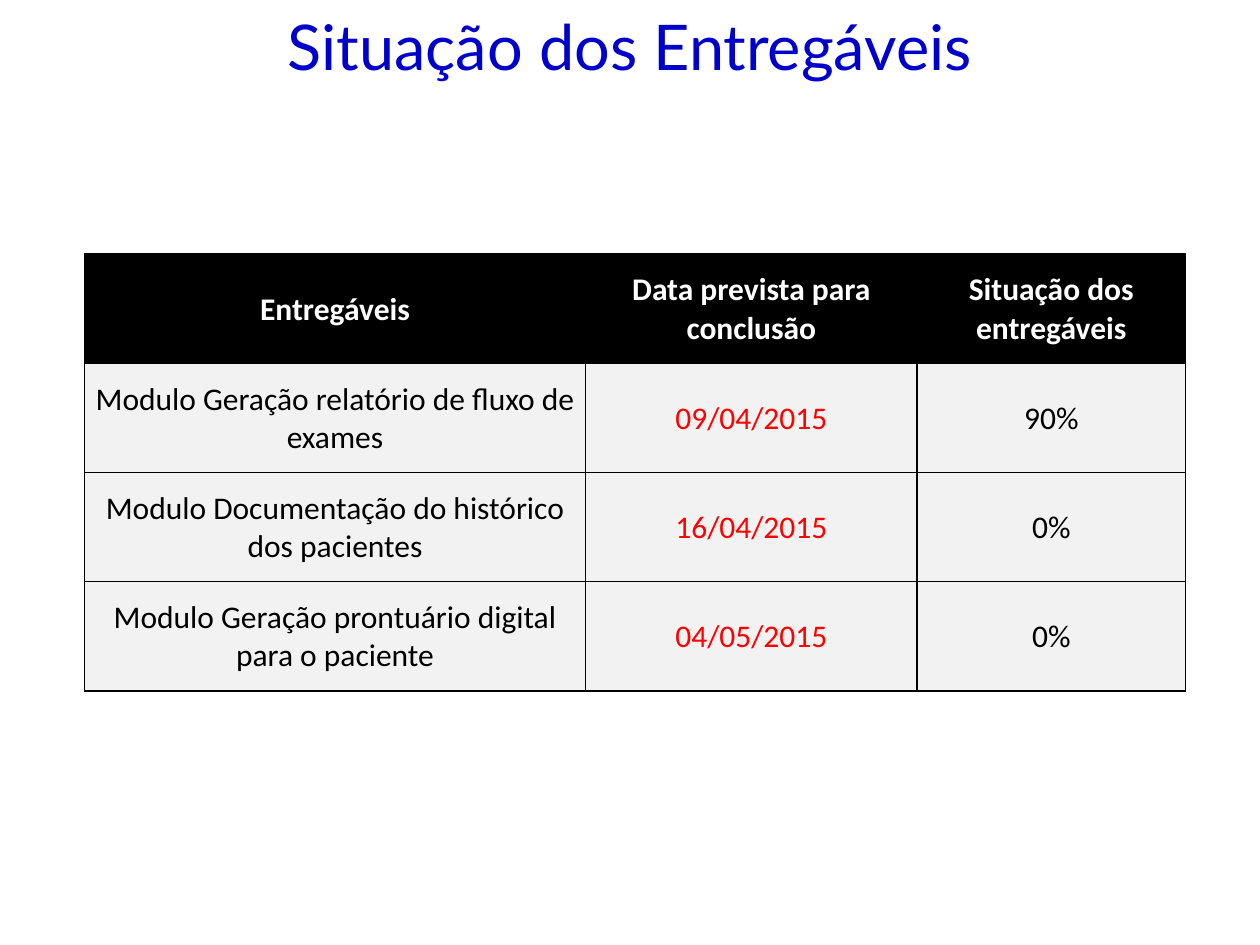
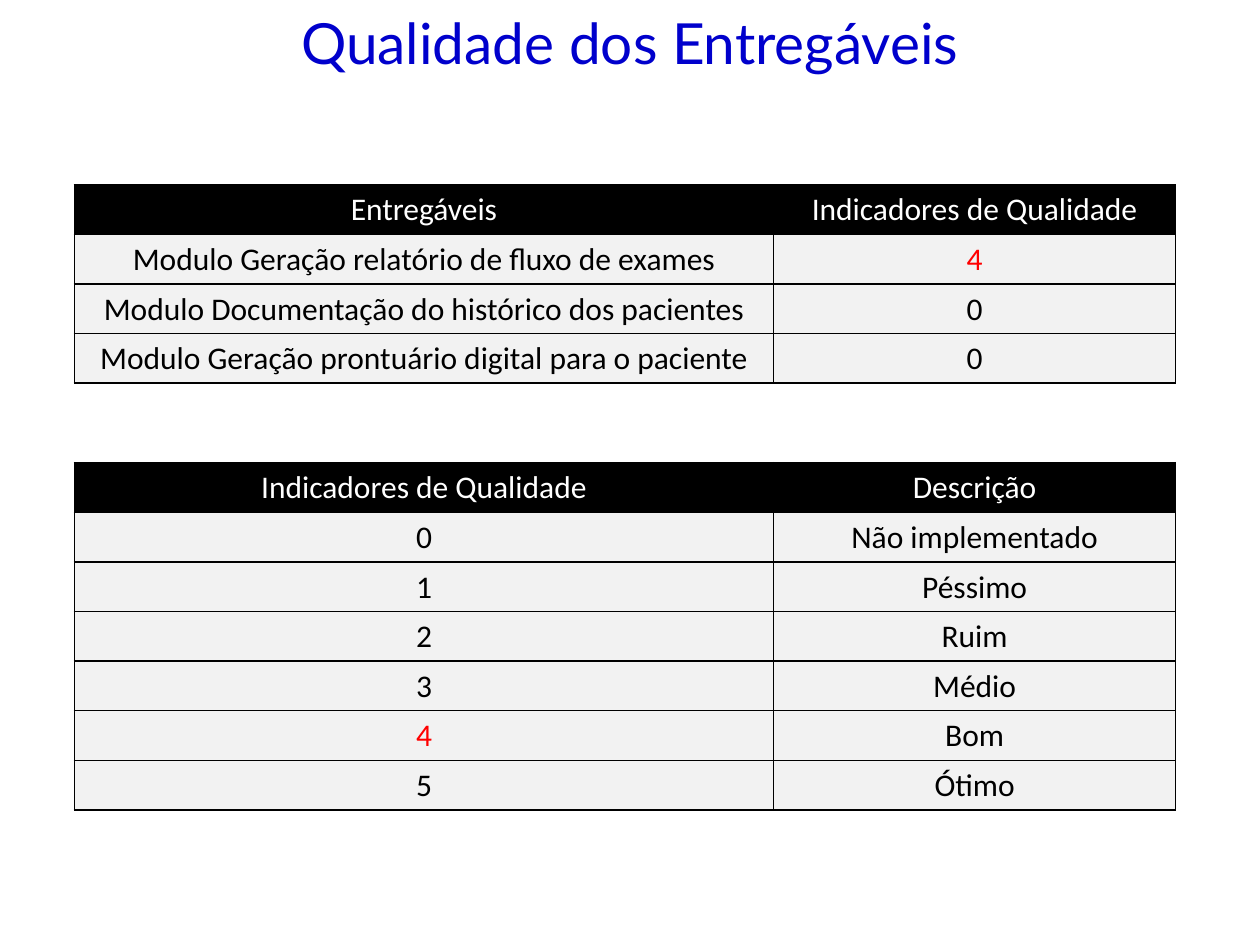
from lxml.etree import SubElement
from pptx import Presentation
from pptx.dml.color import RGBColor
from pptx.enum.text import MSO_ANCHOR as Anchor, PP_ALIGN as Align
from pptx.oxml.ns import qn
from pptx.util import Pt

BLUE = RGBColor(0x00, 0x00, 0xCC)
BLACK = RGBColor(0x00, 0x00, 0x00)
WHITE = RGBColor(0xFF, 0xFF, 0xFF)
RED = RGBColor(0xFF, 0x00, 0x00)
LIGHT_GRAY = RGBColor(0xF2, 0xF2, 0xF2)

SLIDE_WIDTH, SLIDE_HEIGHT = 720, 540
BLANK_LAYOUT = 6

DELIVERABLES = [
    "Modulo Geração relatório de fluxo de exames",
    "Modulo Documentação do histórico dos pacientes",
    "Modulo Geração prontuário digital para o paciente",
]
DUE_DATES = ["09/04/2015", "16/04/2015", "04/05/2015"]
PROGRESS = ["90%", "0%", "0%"]
QUALITY_SCORES = ["4", "0", "0"]
QUALITY_SCALE = ["Não implementado", "Péssimo", "Ruim", "Médio", "Bom", "Ótimo"]


def apply(target, values):
    for name, value in values.items():
        setattr(target, name, value)


class Deck:
    title_font = {"name": "Lato"}
    cell_font = {"name": "Calibri", "size": Pt(18)}
    title_frame = {
        "word_wrap": True, "vertical_anchor": Anchor.TOP,
        "margin_left": 0, "margin_right": 0, "margin_top": 0, "margin_bottom": 0,
    }
    cell_format = {
        "vertical_anchor": Anchor.MIDDLE, "margin_left": Pt(0.72),
        "margin_right": Pt(0.72), "margin_top": Pt(0.72), "margin_bottom": 0,
    }

    def __init__(self):
        self.presentation = Presentation()
        apply(self.presentation, {"slide_width": Pt(SLIDE_WIDTH), "slide_height": Pt(SLIDE_HEIGHT)})
        self.slide = None

    def add_slide(self, title, title_size):
        layout = self.presentation.slide_layouts[BLANK_LAYOUT]
        self.slide = self.presentation.slides.add_slide(layout)
        shape = self.slide.shapes.add_textbox(0, Pt(4.3), Pt(SLIDE_WIDTH), Pt(61.2))
        apply(shape.text_frame, self.title_frame)
        self.add_text(shape.text_frame, title, BLUE, {**self.title_font, "size": Pt(title_size)})

    def add_text(self, text_frame, text, color, font):
        paragraph = text_frame.paragraphs[0]
        paragraph.alignment = Align.CENTER
        run = paragraph.add_run()
        run.text = text
        apply(run.font, font)
        run.font.color.rgb = color

    def add_borders(self, cell):
        properties = cell._tc.get_or_add_tcPr()
        for side in ("a:lnL", "a:lnR", "a:lnT", "a:lnB"):
            line = SubElement(properties, qn(side), w=str(Pt(1)))
            fill = SubElement(line, qn("a:solidFill"))
            SubElement(fill, qn("a:srgbClr"), val=str(BLACK))

    def add_table(self, left, top, widths, row_height, rows, highlights, bold_header=False):
        frame = self.slide.shapes.add_table(
            len(rows), len(widths), Pt(left), Pt(top), Pt(sum(widths)), Pt(row_height * len(rows)))
        table = frame.table
        table.horz_banding = False
        for column, width in zip(table.columns, widths):
            column.width = Pt(width)
        for row_index, values in enumerate(rows):
            table.rows[row_index].height = Pt(row_height)
            is_header = row_index == 0
            for column_index, text in enumerate(values):
                cell = table.cell(row_index, column_index)
                apply(cell, self.cell_format)
                self.add_borders(cell)
                cell.fill.solid()
                cell.fill.fore_color.rgb = BLACK if is_header else LIGHT_GRAY
                color = WHITE if is_header else RED if text in highlights else BLACK
                font = {**self.cell_font, "bold": is_header and bold_header}
                self.add_text(cell.text_frame, text, color, font)


def main():
    deck = Deck()

    deck.add_slide("Situação dos Entregáveis", 36)
    status_header = ("Entregáveis", "Data prevista para conclusão", "Situação dos entregáveis")
    status_rows = [status_header, *zip(DELIVERABLES, DUE_DATES, PROGRESS)]
    deck.add_table(48.2, 145.2, (286.5, 189.4, 153.4), 62.4, status_rows, DUE_DATES, bold_header=True)

    deck.add_slide("Qualidade dos Entregáveis", 32.4)
    quality_rows = [("Entregáveis", "Indicadores de Qualidade"), *zip(DELIVERABLES, QUALITY_SCORES)]
    scale_rows = [("Indicadores de Qualidade", "Descrição")]
    scale_rows += [(str(score), label) for score, label in enumerate(QUALITY_SCALE)]
    for top, rows in ((105.6, quality_rows), (264.4, scale_rows)):
        deck.add_table(42.5, top, (399.6, 229.7), 28.35, rows, ["4"])

    deck.presentation.save("out.pptx")


if __name__ == "__main__":
    main()
